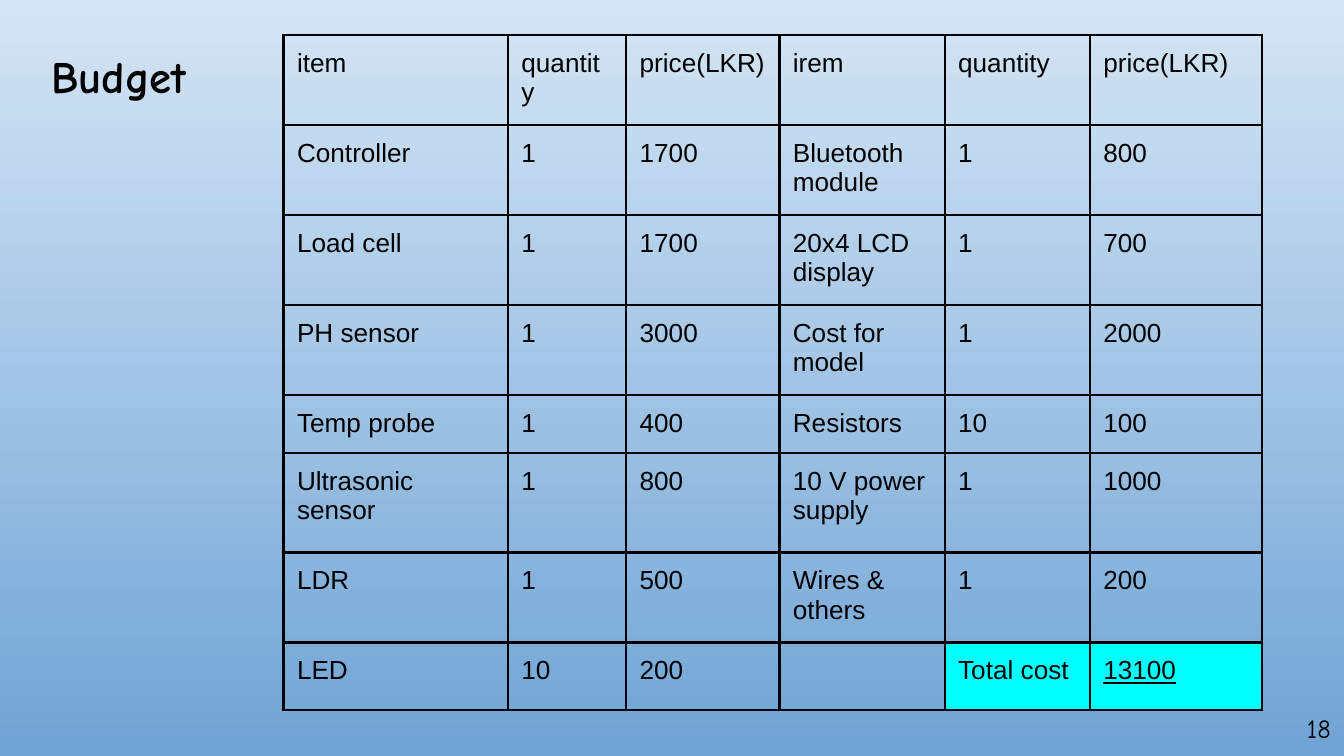
from lxml.etree import SubElement
from pptx import Presentation
from pptx.dml.color import RGBColor
from pptx.enum.text import MSO_ANCHOR, MSO_AUTO_SIZE, PP_ALIGN
from pptx.oxml import parse_xml
from pptx.oxml.ns import nsdecls, qn
from pptx.util import Inches, Pt

BLACK = RGBColor(0x00, 0x00, 0x00)
CYAN = RGBColor(0x00, 0xFF, 0xFF)
SKY_TOP = RGBColor(0xD4, 0xE5, 0xF5)
SKY_BOTTOM = RGBColor(0x70, 0xA4, 0xD5)

TITLE = "Budget"
PAGE = "18"
HEADER = ("item", "quantity", "price(LKR)", "irem", "quantity", "price(LKR)")
ITEMS = [
    ("Controller", "1", "1700", "Bluetooth module", "1", "800"),
    ("Load cell", "1", "1700", "20x4 LCD display", "1", "700"),
    ("PH sensor", "1", "3000", "Cost for model", "1", "2000"),
    ("Temp probe", "1", "400", "Resistors", "10", "100"),
    ("Ultrasonic sensor", "1", "800", "10 V power supply", "1", "1000"),
    ("LDR", "1", "500", "Wires & others", "1", "200"),
    ("LED", "10", "200", "", "Total cost", "13100"),
]
ROWS = [HEADER, *ITEMS]
TOTAL_CELLS = {(7, 4), (7, 5)}
SUM_CELL = (7, 5)

SLIDE_WIDTH = Inches(10)
SLIDE_HEIGHT = SLIDE_WIDTH * 9 // 16
COL_WIDTHS = (1.67, 0.88, 1.14, 1.23, 1.08, 1.28)
ROW_HEIGHTS = (0.67, 0.67, 0.67, 0.67, 0.43, 0.74, 0.67, 0.43)
TABLE_LEFT, TOP = 2.11, 0.26
MARGINS = {f"margin_{side}": Inches(0.1) for side in ("left", "right", "top", "bottom")}

TITLE_FONT = {"name": "Comic Neue", "size": Pt(24), "bold": True}
PAGE_FONT = {"name": "Comic Neue", "size": Pt(14)}
CELL_FONT = {"name": "Arial", "size": Pt(14)}


def set_attrs(obj, values):
    for name, value in values.items():
        setattr(obj, name, value)


def write(tf, text, font, align=PP_ALIGN.LEFT):
    p = tf.paragraphs[0]
    p.alignment = align
    r = p.add_run()
    r.text = text
    set_attrs(r.font, font)
    r.font.color.rgb = BLACK


def set_empty_font(tf):
    """Give a paragraph without runs the font that sets its line height."""
    end = SubElement(tf.paragraphs[0]._p, qn("a:endParaRPr"), sz="1800")
    SubElement(end, qn("a:latin"), typeface=CELL_FONT["name"])


def add_borders(cell, width=Pt(1.5)):
    """Line all four sides; the lines must precede the fill in the XML."""
    tc_pr = cell._tc.get_or_add_tcPr()
    for i, side in enumerate(("lnL", "lnR", "lnT", "lnB")):
        ln = parse_xml(f'<a:{side} {nsdecls("a")} w="{width}"/>')
        fill = SubElement(ln, qn("a:solidFill"))
        SubElement(fill, qn("a:srgbClr"), val=str(BLACK))
        tc_pr.insert(i, ln)


def paint_background(slide):
    fill = slide.background.fill
    fill.gradient()
    fill.gradient_angle = 270
    for stop, color, position in zip(fill.gradient_stops, (SKY_TOP, SKY_BOTTOM), (0, 1)):
        stop.color.rgb = color
        stop.position = position


def add_title(slide):
    title = slide.shapes.title
    set_attrs(title, {"left": Inches(0.28), "top": Inches(TOP),
                      "width": Inches(1.69), "height": Inches(0.61)})
    tf = title.text_frame
    set_attrs(tf, {**MARGINS, "vertical_anchor": MSO_ANCHOR.TOP, "word_wrap": True,
                   "auto_size": MSO_AUTO_SIZE.SHAPE_TO_FIT_TEXT})
    write(tf, TITLE, TITLE_FONT)


def add_budget_table(slide):
    frame = slide.shapes.add_table(
        len(ROWS), len(HEADER), Inches(TABLE_LEFT), Inches(TOP),
        Inches(sum(COL_WIDTHS)), Inches(sum(ROW_HEIGHTS)))
    table = frame.table
    set_attrs(table, {"first_row": False, "horz_banding": False})
    for col, width in zip(table.columns, COL_WIDTHS):
        col.width = Inches(width)
    for row, height in zip(table.rows, ROW_HEIGHTS):
        row.height = Inches(height)
    for i, texts in enumerate(ROWS):
        for j, text in enumerate(texts):
            cell = table.cell(i, j)
            set_attrs(cell, MARGINS)
            if (i, j) in TOTAL_CELLS:
                cell.fill.solid()
                cell.fill.fore_color.rgb = CYAN
            else:
                cell.fill.background()
            add_borders(cell)
            if text:
                underline = {"underline": True} if (i, j) == SUM_CELL else {}
                write(cell.text_frame, text, {**CELL_FONT, **underline})
            else:
                set_empty_font(cell.text_frame)


def add_page_number(slide):
    box = slide.shapes.add_textbox(Inches(9.4), Inches(5.2), Inches(0.6), Inches(0.43))
    tf = box.text_frame
    set_attrs(tf, {**MARGINS, "vertical_anchor": MSO_ANCHOR.MIDDLE, "word_wrap": True})
    write(tf, PAGE, PAGE_FONT, PP_ALIGN.RIGHT)


def main():
    prs = Presentation()
    prs.slide_width, prs.slide_height = SLIDE_WIDTH, SLIDE_HEIGHT
    slide = prs.slides.add_slide(prs.slide_layouts[5])
    paint_background(slide)
    add_page_number(slide)
    add_budget_table(slide)
    add_title(slide)
    prs.save("out.pptx")


if __name__ == "__main__":
    main()
